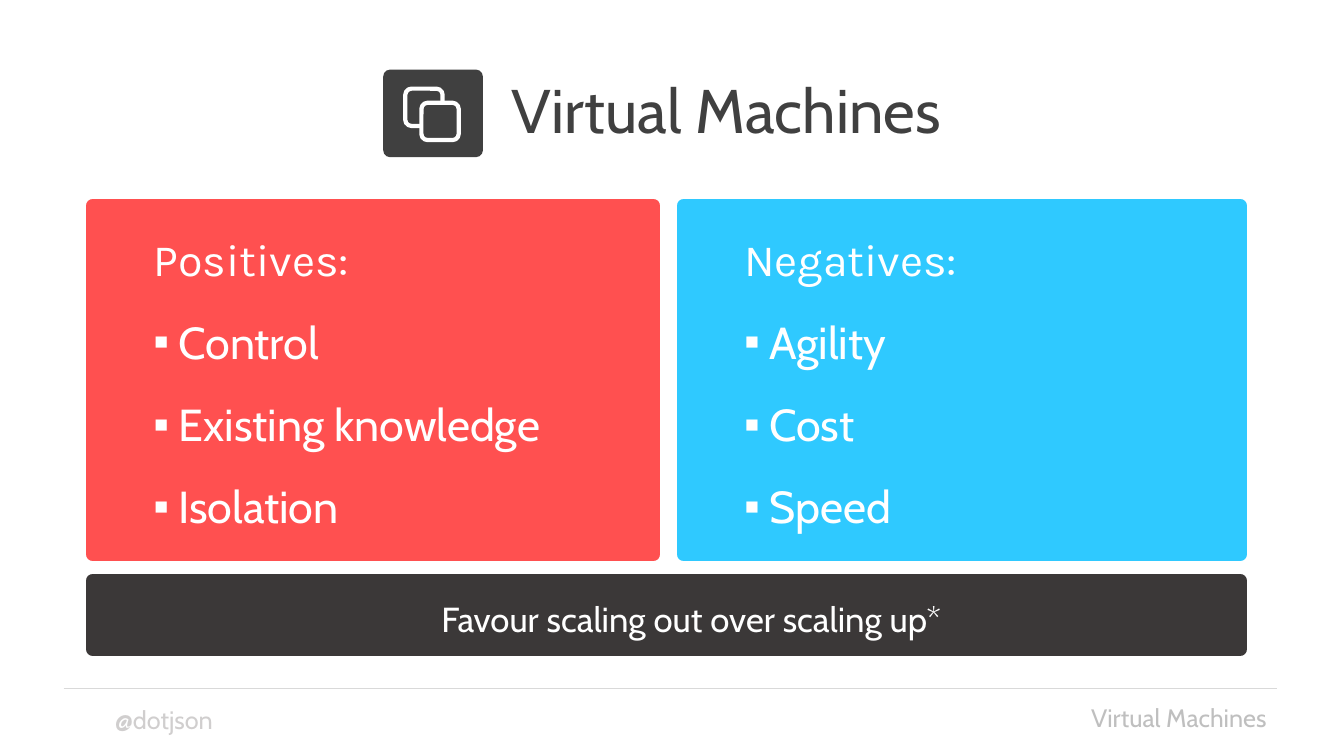
from lxml import etree
from pptx import Presentation
from pptx.dml.color import RGBColor
from pptx.enum import shapes, text
from pptx.oxml import ns
from pptx.util import Inches, Pt

WHITE, DARK = "FFFFFF", "404040"
PANEL_LEFT, PANEL_TOP, PANEL_HEIGHT = 0.92, 2.04, 3.46


def rgb(value):
    return RGBColor.from_string(value)


def add_xml(parent, tag, **attrs):
    return etree.SubElement(parent, ns.qn(tag), attrs)


def place(sp, box):
    sp.left, sp.top, sp.width, sp.height = (Inches(v) for v in box)


def write(p, words, size, color, font="Cabin", align=None, spacing=None):
    p.alignment = align
    p.line_spacing = spacing
    r = p.add_run()
    r.text = words
    r.font.size, r.font.name, r.font.bold = Pt(size), font, False
    r.font.color.rgb = rgb(color)


def write_body(p, words, size, bullet=None, **fmt):
    """Write a second-level paragraph, indented and with its own bullet or none."""
    p.level = 1
    p.space_before = Pt(5)
    write(p, words, size, WHITE, **fmt)
    pPr = p._p.get_or_add_pPr()
    pPr.set("marL", str(Inches(0.75 if bullet else 0.5)))
    pPr.set("indent", str(Inches(-0.25 if bullet else 0)))
    if bullet:
        add_xml(add_xml(pPr, "a:buClr"), "a:srgbClr", val=WHITE)
        add_xml(pPr, "a:buFont", typeface="Arial")
        add_xml(pPr, "a:buChar", char=bullet)
    else:
        add_xml(pPr, "a:buNone")


def format_panel(sp, box, color):
    """Fill a placeholder and round its corners with a thick outline."""
    place(sp, box)
    sp.fill.solid()
    sp.fill.fore_color.rgb = rgb(color)
    sp.line.color.rgb = rgb(color)
    sp.line.width = Pt(10)
    add_xml(sp.line._get_or_add_ln(), "a:round")
    tf = sp.text_frame
    tf.word_wrap = True
    tf.auto_size = text.MSO_AUTO_SIZE.NONE
    tf.vertical_anchor = text.MSO_ANCHOR.TOP
    return tf


def fill_list_panel(sp, box, color, heading, items):
    tf = format_panel(sp, box, color)
    write_body(tf.paragraphs[0], heading, 32, font="Karla", spacing=1.4)
    for item in items:
        write_body(tf.add_paragraph(), item, 32, bullet="▪", spacing=1.4)


def fill_takeaway(sp, box, words):
    tf = format_panel(sp, box, "3B3838")
    write_body(tf.paragraphs[0], words, 24.8, align=text.PP_ALIGN.CENTER, spacing=1.3)


def fill_title(sp, box, words):
    place(sp, box)
    tf = sp.text_frame
    tf.vertical_anchor = text.MSO_ANCHOR.MIDDLE
    tf.auto_size = text.MSO_AUTO_SIZE.NONE
    write(tf.paragraphs[0], words, 44, DARK, align=text.PP_ALIGN.CENTER, spacing=0.9)


def add_icon(s, box):
    """Draw two overlapping outlined squares on a dark tile."""
    left, top, width, height = box
    group = s.shapes.add_group_shape()

    def add_tile(x, y, w, h):
        sp = group.shapes.add_shape(shapes.MSO_SHAPE.ROUNDED_RECTANGLE,
                                    *(Inches(v) for v in (left + x, top + y, w, h)))
        sp.shadow.inherit = False
        sp.fill.solid()
        sp.fill.fore_color.rgb = rgb(DARK)
        return sp

    base = add_tile(0, 0, width, height)
    base.adjustments[0] = 0.082
    base.line.fill.background()
    for x, y in ((0.22, 0.19), (0.38, 0.33)):
        square = add_tile(x, y, 0.37, 0.37)
        square.line.color.rgb = rgb(WHITE)
        square.line.width = Pt(3)


def add_label(s, box, words, color, align):
    tf = s.shapes.add_textbox(*(Inches(v) for v in box)).text_frame
    tf.word_wrap = True
    tf.auto_size = text.MSO_AUTO_SIZE.SHAPE_TO_FIT_TEXT
    write(tf.paragraphs[0], words, 18, color, align=align)


def add_footer(s, left, top, width):
    right = left + width
    rule = s.shapes.add_connector(shapes.MSO_CONNECTOR.STRAIGHT, Inches(left),
                                  Inches(top), Inches(right), Inches(top))
    rule.line.color.rgb = rgb("D9D9D9")
    rule.line.width = Pt(1)
    add_xml(rule._element.spPr, "a:effectLst")
    add_label(s, (left + 0.41, top + 0.11, 2.13, 0.4), "@dotjson", "D0CECE",
              text.PP_ALIGN.LEFT)
    add_label(s, (right - 3.59, top + 0.09, 3.58, 0.4), "Virtual Machines", "BFBFBF",
              text.PP_ALIGN.RIGHT)


def main():
    prs = Presentation()
    prs.slide_width, prs.slide_height = Inches(13.33), Inches(7.5)
    s = prs.slides.add_slide(prs.slide_layouts.get_by_name("Comparison"))
    holders = {sp.placeholder_format.idx: sp for sp in s.placeholders}
    title, takeaway, positives, spare, negatives = (holders[i] for i in range(5))
    spare._element.getparent().remove(spare._element)

    fill_title(title, (1.99, 0.4, 10.43, 1.45), "Virtual Machines")
    add_icon(s, (3.8, 0.69, 0.99, 0.87))
    fill_list_panel(positives, (PANEL_LEFT, PANEL_TOP, 5.56, PANEL_HEIGHT), "FF5050",
                    "Positives:", ["Control", "Existing knowledge", "Isolation"])
    fill_list_panel(negatives, (6.78, PANEL_TOP, 5.52, PANEL_HEIGHT), "2FC9FF",
                    "Negatives:", ["Agility", "Cost", "Speed"])
    fill_takeaway(takeaway, (PANEL_LEFT, 5.76, 11.38, 0.68),
                  "Favour scaling out over scaling up*")
    add_footer(s, 0.63, 6.83, 12.04)
    prs.save("out.pptx")


if __name__ == "__main__":
    main()
